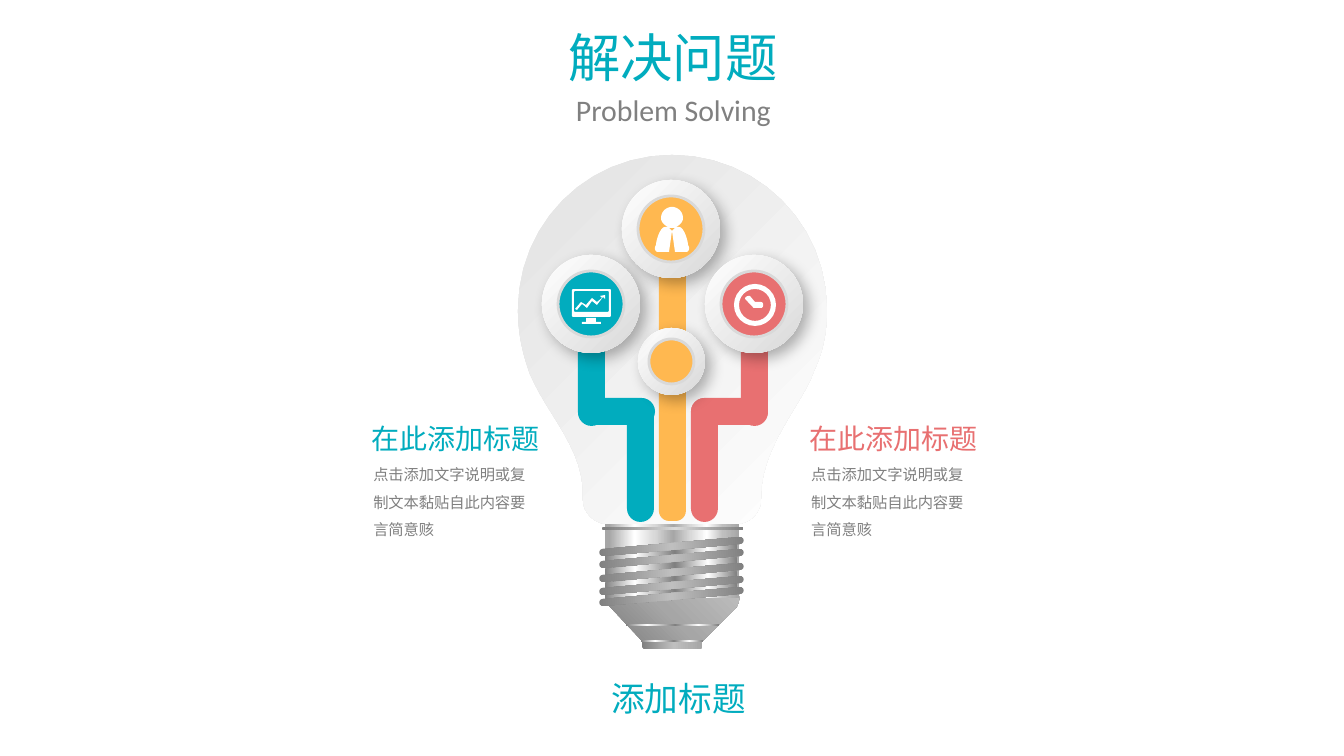
"""Build a problem-solving slide with a light bulb infographic."""
from lxml import etree
from pptx import Presentation, util as u
from pptx.dml.color import RGBColor
from pptx.enum import shapes, text
from pptx.oxml.ns import qn

PX = 914400 / 134.4
TEAL = RGBColor(0x01, 0xAC, 0xBE)
RED = RGBColor(0xE8, 0x70, 0x71)
ORANGE = RGBColor(0xFF, 0xB8, 0x50)
WHITE = RGBColor(0xFF, 0xFF, 0xFF)
PALE = RGBColor(0xE2, 0xE2, 0xE2)
LIGHT = RGBColor(0xD9, 0xD9, 0xD9)
SILVER = RGBColor(0xBF, 0xBF, 0xBF)
STEEL = RGBColor(0xA6, 0xA6, 0xA6)
GREY = RGBColor(0x80, 0x80, 0x80)
ROUND = shapes.MSO_SHAPE.ROUNDED_RECTANGLE
OVAL = shapes.MSO_SHAPE.OVAL
RECT = shapes.MSO_SHAPE.RECTANGLE
DONUT = shapes.MSO_SHAPE.DONUT
NOTO = "Noto Sans CJK SC"

prs = Presentation()
prs.slide_width, prs.slide_height = round(1344 * PX), round(756 * PX)
s = prs.slides.add_slide(prs.slide_layouts[0])


def write(t, box, size, color, font=NOTO, align=text.PP_ALIGN.LEFT, spacing=1, wrap=True, sp=None):
    box = [round(v * PX) for v in box]
    sp = sp or s.shapes.add_textbox(*box)
    sp.left, sp.top, sp.width, sp.height = box
    tf = sp.text_frame
    tf.word_wrap = wrap
    tf.auto_size = text.MSO_AUTO_SIZE.NONE
    tf.vertical_anchor = text.MSO_ANCHOR.TOP
    p = tf.paragraphs[0]
    p.alignment, p.line_spacing, p.space_before = align, spacing, u.Pt(0)
    r = p.add_run()
    r.text = t
    r.font.size, r.font.name, r.font.color.rgb = u.Pt(size), font, color
    etree.SubElement(r.font._element, qn("a:ea"), typeface=font)


def draw(kind, geometry, fill, angle=0, rot=0, adj=None, line=None, shadow=False):
    if kind is None:
        contours = []
        for contour in geometry:
            points = [contour[0]]
            for step in contour[1:]:
                if len(step) == 2:
                    points.append(step)
                    continue
                a, b, c, d = points[-1], step[:2], step[2:4], step[4:]
                for k in range(1, 13):
                    t = k / 12
                    weights = ((1 - t) ** 3, 3 * t * (1 - t) ** 2, 3 * t * t * (1 - t), t ** 3)
                    points.append(tuple(sum(w * q[i] for w, q in zip(weights, (a, b, c, d)))
                                        for i in (0, 1)))
            contours.append([(round(x * PX), round(y * PX)) for x, y in points])
        builder = s.shapes.build_freeform(*contours[0][0])
        builder.add_line_segments(contours[0][1:])
        for points in contours[1:]:
            builder.move_to(*points[0])
            builder.add_line_segments(points[1:])
        sp = builder.convert_to_shape()
    else:
        sp = s.shapes.add_shape(kind, *[round(v * PX) for v in geometry])
    sp.rotation = rot
    if adj is not None:
        sp.adjustments[0] = adj
    if isinstance(fill, RGBColor):
        sp.fill.solid()
        sp.fill.fore_color.rgb = fill
    else:
        sp.fill.gradient()
        sp.fill.gradient_angle = angle
        stops = sp._element.spPr.find(qn("a:gradFill")).find(qn("a:gsLst"))
        for stop in list(stops):
            stops.remove(stop)
        for pos, color in fill:
            gs = etree.SubElement(stops, qn("a:gs"), pos=str(pos * 1000))
            etree.SubElement(gs, qn("a:srgbClr"), val=str(color))
    if line is None:
        sp.line.fill.background()
    else:
        sp.line.color.rgb, sp.line.width = line, u.Pt(1.5)
    sp.shadow.inherit = False
    if shadow:
        effects = sp._element.spPr.find(qn("a:effectLst"))
        outer = etree.SubElement(effects, qn("a:outerShdw"), blurRad=str(u.Pt(8)), dist=str(u.Pt(4)),
                                 dir="2700000", algn="tl", rotWithShape="0")
        color = etree.SubElement(outer, qn("a:srgbClr"), val="000000")
        etree.SubElement(color, qn("a:alpha"), val="30000")


write("解决问题", (555, 19, 238, 77), 28, TEAL, font="Calibri", wrap=False, sp=s.shapes.title)
write("Problem Solving", (504, 85, 339, 50), 16, GREY, font="Calibri",
      align=text.PP_ALIGN.CENTER, sp=s.placeholders[1])

shine = [(0, GREY), (23, WHITE), (53, GREY), (78, WHITE), (100, GREY)]
thread = [(0, GREY), (50, SILVER), (100, GREY)]
draw(ROUND, (642, 632, 60, 17), [(0, GREY), (53, SILVER), (100, STEEL)])
cone = [(610, 585), (733, 586), (741, 593, 741, 603, 734, 610), (703, 641), (642, 641),
        (612, 609), (604, 602, 604, 591, 610, 585)]
draw(None, [cone], [(3, GREY), (48, STEEL), (100, SILVER)], angle=45)
neck = [(605, 524), (739, 524), (739, 598), (605, 598), (605, 524)]
draw(None, [neck], [(3, STEEL), (22, WHITE), (37, LIGHT), (51, STEEL), (64, LIGHT),
                    (76, WHITE), (88, SILVER), (100, STEEL)])
for y in (587, 550, 563, 577):
    draw(ROUND, (605, y, 132, 7), shine, rot=355, adj=0.14)

bulb = [(672, 155), (758, 155, 827, 224, 827, 310), (827, 332, 823, 352, 814, 371),
        (804, 402, 759, 448, 761, 500), (761, 513, 749, 524, 737, 524), (607, 524),
        (595, 524, 583, 513, 583, 500), (586, 450, 547, 415, 530, 374),
        (522, 352, 518, 332, 518, 310), (518, 224, 586, 155, 672, 155)]
draw(None, [bulb], [(0, PALE), (100, WHITE)], angle=315)
draw(ROUND, (602, 527, 141, 3), [(3, GREY), (52, LIGHT), (100, GREY)], adj=0.5)
for y in (543, 555, 569, 582, 593):
    draw(ROUND, (599, y, 145, 7), thread, rot=355, adj=0.5)
for box in ((626, 624, 93, 2), (641, 640, 62, 2)):
    draw(ROUND, box, shine, adj=0.14)

for color, lower, upper in ((TEAL, 627, 578), (RED, 691, 741)):
    draw(ROUND, (lower, 398, 27, 124), color, adj=0.5)
    draw(ROUND, (upper, 302, 27, 124), color, adj=0.5)
    draw(ROUND, (min(lower, upper), 398, 77, 27), color, adj=0.5)
draw(ROUND, (659, 206, 27, 315), ORANGE, adj=0.38)

for x, y, outer, inner, color in ((638, 328, 67, 45, ORANGE), (622, 180, 98, 66, ORANGE),
                                  (542, 255, 98, 66, TEAL), (705, 255, 98, 66, RED)):
    inset = (outer - inner) // 2
    draw(OVAL, (x, y, outer, outer), [(0, WHITE), (100, LIGHT)], angle=315, shadow=True)
    draw(OVAL, (x + inset, y + inset, inner, inner), color, line=LIGHT)

person = [(672, 207), (666, 207, 661, 212, 661, 218), (661, 222, 664, 225, 668, 227), (665, 227),
          (660, 227, 656, 241, 656, 245), (653, 250, 657, 252, 657, 252), (669, 252), (672, 231),
          (669, 228), (675, 228), (672, 231), (675, 252), (687, 252),
          (687, 252, 691, 250, 688, 245), (688, 241, 684, 227, 679, 227), (676, 227),
          (680, 225, 683, 222, 683, 218), (683, 212, 678, 207, 672, 207)]
draw(None, [person], WHITE)

screen = [[(l + 1, t), (r - 1, t), (r, t + 1), (r, b - 1), (r - 1, b), (l + 1, b), (l, b - 1),
           (l, t + 1), (l + 1, t)] for l, t, r, b in ((572, 289, 611, 317), (574, 291, 609, 312))]
draw(None, screen, WHITE)
draw(RECT, (586, 318, 10, 4), WHITE)
draw(RECT, (582, 322, 19, 2), WHITE)
trend = [(605, 295), (600, 296), (602, 298), (597, 302), (592, 298), (586, 305), (581, 302),
         (575, 309), (577, 310), (582, 304), (587, 308), (592, 301), (597, 305), (603, 297),
         (605, 299), (605, 295)]
draw(None, [trend], WHITE)

draw(DONUT, (734, 284, 42, 42), WHITE, adj=0.12)
hands = [(749, 296), (746, 296, 744, 298, 746, 300), (752, 306), (753, 307, 753, 308, 754, 308),
         (761, 308), (764, 308, 764, 302, 761, 302), (755, 302), (750, 296), (749, 296)]
draw(None, [hands], WHITE)

for x, color in ((358, TEAL), (796, RED)):
    write("在此添加标题", (x, 415, 196, 47), 15, color)
    write("点击添加文字说明或复制文本黏贴自此内容要言简意赅", (x + 2, 450, 188, 98), 8.2, GREY, spacing=1.5)
write("添加标题", (598, 671, 177, 54), 18, TEAL)

prs.save("out.pptx")
